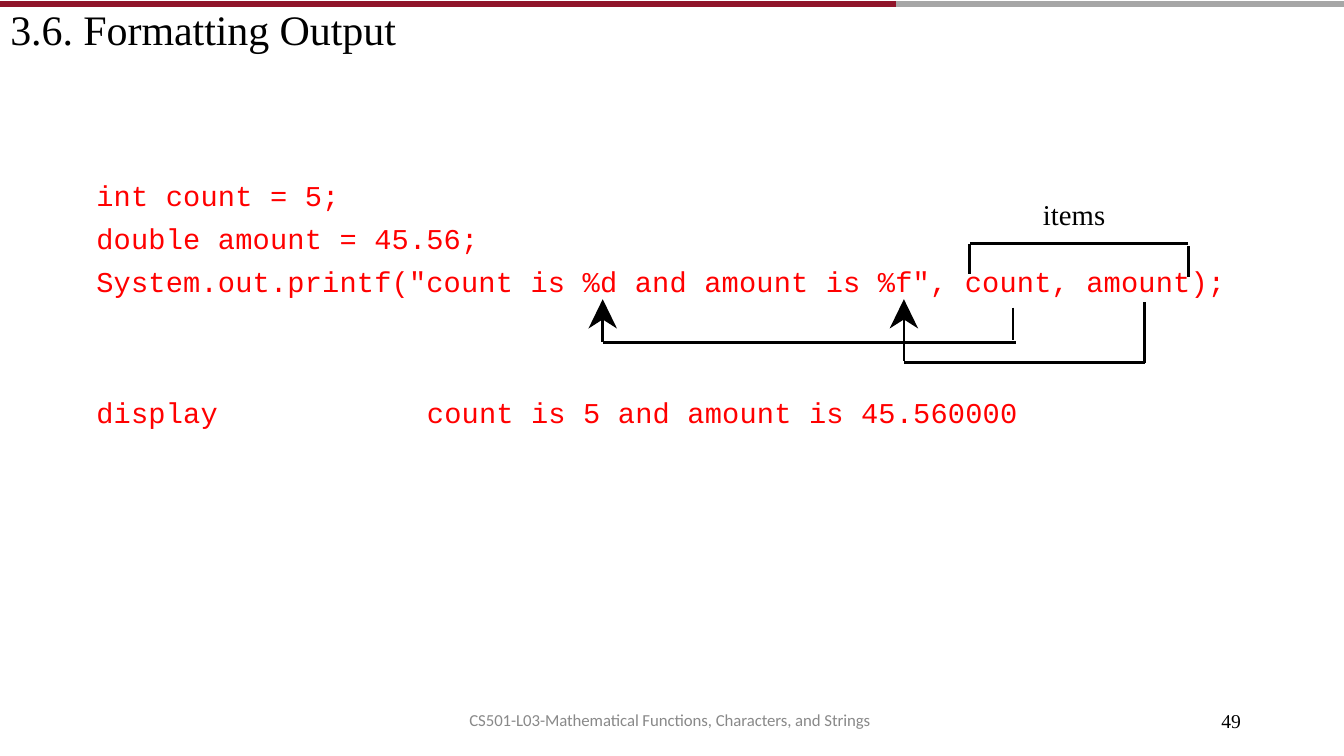
from lxml.etree import SubElement
from pptx import Presentation
from pptx.dml.color import RGBColor
from pptx.enum.shapes import MSO_CONNECTOR
from pptx.enum.text import MSO_ANCHOR, MSO_AUTO_SIZE, PP_ALIGN
from pptx.oxml.ns import qn
from pptx.util import Cm, Pt

CODE = dict(name="Courier New", size=Pt(20.5), color="FF0000", track=10)
LABEL = dict(name="Times New Roman", size=Pt(20.5), color="000000", track=6)
TITLE = dict(name="Times New Roman", size=Pt(30), color="000000", track=-5)
FOOT = dict(name="Calibri", size=Pt(12), color="898989", track=-5)
PAGE = dict(name="Times New Roman", size=Pt(14), color="000000", track=0)


def paint(target, color):
    target.rgb = RGBColor.from_string(color)


def apply(target, values):
    for key, value in values.items():
        setattr(target, key, value)


def style(run, look):
    apply(run.font, {key: look[key] for key in ("name", "size")})
    paint(run.font.color, look["color"])
    run.font._element.set("spc", str(look["track"]))


def write(shape, box, lines, look, top=0.05, left=0.04, gap=6.5):
    apply(shape, dict(zip(("left", "top", "width", "height"), map(Cm, box))))
    frame = shape.text_frame
    apply(frame, dict(
        margin_left=Cm(left), margin_right=0, margin_top=Cm(top), margin_bottom=0,
        word_wrap=True, auto_size=MSO_AUTO_SIZE.NONE,
        vertical_anchor=MSO_ANCHOR.TOP))
    for index, line in enumerate(lines):
        para = frame.add_paragraph() if index else frame.paragraphs[0]
        apply(para, dict(alignment=PP_ALIGN.LEFT, space_before=Pt(gap if index else 0)))
        run = para.add_run()
        run.text = line
        style(run, look)


def add_text(slide, box, lines, look, **extra):
    shape = slide.shapes.add_textbox(*map(Cm, box))
    write(shape, box, lines, look, **extra)
    return shape


def add_line(slide, ends, color="000000", width=1.86):
    line = slide.shapes.add_connector(MSO_CONNECTOR.STRAIGHT, *map(Cm, ends))
    paint(line.line.color, color)
    line.line.width = Pt(width)
    SubElement(line._element.spPr, qn("a:effectLst"))


def add_path(slide, parts):
    x, y = parts[0][:2]
    form = slide.shapes.build_freeform(Cm(x), Cm(y))
    for index, (x, y, right, down) in enumerate(parts):
        if index:
            form.move_to(Cm(x), Cm(y))
        form.add_line_segments([(Cm(right), Cm(down))], close=False)
    path = form.convert_to_shape()
    path.shadow.inherit = False
    path.fill.background()
    paint(path.line.color, "000000")
    path.line.width = Pt(1.86)


def add_head(slide, x, y):
    points = [(x - 0.36, y + 0.74), (x, y + 0.51), (x + 0.36, y + 0.74)]
    form = slide.shapes.build_freeform(Cm(x), Cm(y))
    form.add_line_segments([(Cm(a), Cm(b)) for a, b in points], close=True)
    head = form.convert_to_shape()
    head.shadow.inherit = False
    head.fill.solid()
    paint(head.fill.fore_color, "000000")
    head.line.fill.background()


def main():
    deck = Presentation()
    apply(deck, dict(slide_width=Cm(33.87), slide_height=Cm(19.05)))
    slide = deck.slides.add_slide(deck.slide_layouts[5])

    add_line(slide, (22.58, 0.1, 33.87, 0.1), "A6A6A6", 4)
    add_line(slide, (0, 0.1, 22.58, 0.1), "90152A", 4)
    write(slide.shapes.title, (0.23, 0.05, 10.5, 1.35),
          ["3.6. Formatting Output"], TITLE, top=0.03, left=0.03)

    add_text(slide, (2.39, 4.19, 9.7, 2.26),
             ["int count = 5;", "double amount = 45.56;"], CODE, top=0.28)
    for x, y, width, line in (
        (2.39, 6.6, 29,
         'System.out.printf("count is %d and amount is %f", count, amount);'),
        (2.39, 9.91, 3.3, "display"),
        (10.72, 9.91, 15.2, "count is 5 and amount is 45.560000"),
    ):
        add_text(slide, (x, y, width, 0.97), [line], CODE)
    add_text(slide, (26.24, 4.9, 1.8, 0.97), ["items"], LABEL)

    count, amount = 15.19, 22.78
    add_path(slide, [(25.53, 7.75, 25.53, 8.58),
                     (25.6, 8.63, count, 8.63),
                     (count, 8, count, 8.63)])
    add_line(slide, (amount, 8, amount, 9.09))
    add_path(slide, [(28.85, 9.14, amount, 9.14),
                     (28.85, 7.62, 28.85, 9.14)])
    add_path(slide, [(29.95, 6.14, 24.44, 6.14),
                     (24.44, 6.14, 24.44, 6.91),
                     (29.95, 6.2, 29.95, 6.99)])
    for x in (count, amount):
        add_head(slide, x, 7.54)

    add_text(slide, (11.79, 17.86, 10.6, 0.58),
             ["CS501-L03-Mathematical Functions, Characters, and Strings"],
             FOOT, top=0.03)
    page = add_text(slide, (30.68, 17.88, 0.8, 0.61), ["49"], PAGE, top=0, left=0.1)
    page.text_frame.paragraphs[0].line_spacing = Pt(16.3)
    deck.save("out.pptx")


if __name__ == "__main__":
    main()
